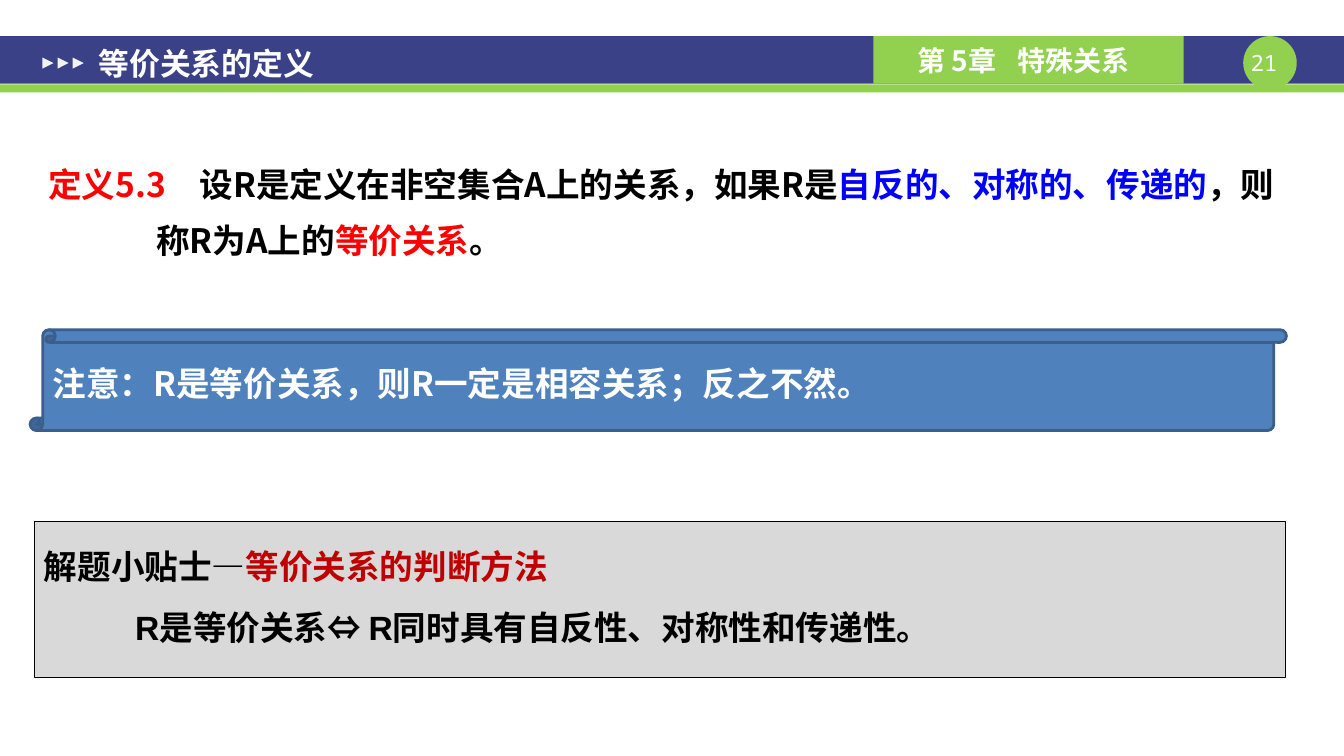
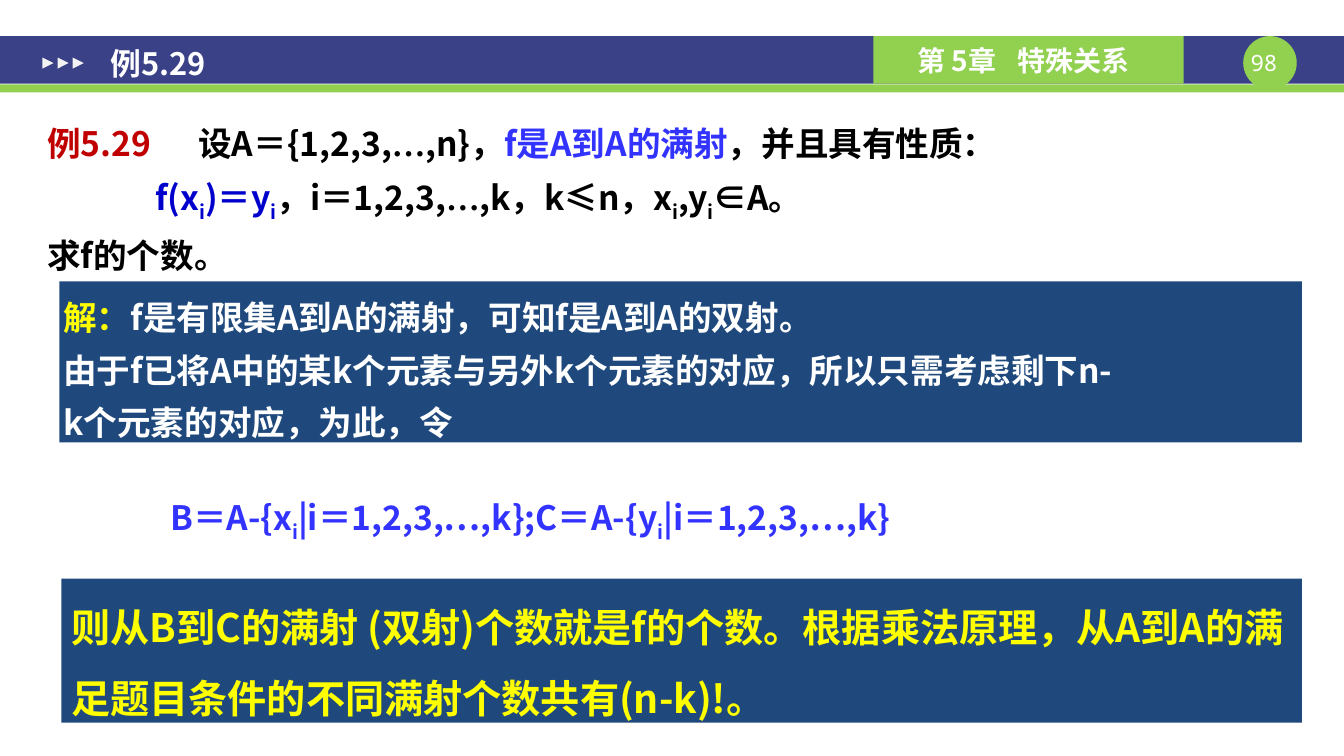
from collections import namedtuple

from lxml import etree
from pptx import Presentation
from pptx.dml.color import RGBColor
from pptx.enum import shapes, text
from pptx.oxml.ns import qn
from pptx.util import Cm, Pt

INDIGO = RGBColor(0x3A, 0x41, 0x87)
GREEN = RGBColor(0x92, 0xD0, 0x50)
PALE = RGBColor(0xF2, 0xF2, 0xF2)
WHITE = RGBColor(0xFF, 0xFF, 0xFF)
BLACK = RGBColor(0, 0, 0)
RED = RGBColor(0xFF, 0, 0)
DARK_RED = RGBColor(0xC0, 0, 0)
BLUE = RGBColor(0, 0, 0xFF)
DEEP_BLUE = RGBColor(0, 0, 0xCC)
VIOLET = RGBColor(0x33, 0x33, 0xFF)
YELLOW = RGBColor(0xFF, 0xFF, 0)
STEEL = RGBColor(0x4F, 0x81, 0xBD)
STEEL_EDGE = RGBColor(0x3A, 0x5F, 0x8C)
NAVY = RGBColor(0x1F, 0x49, 0x7D)
GREY = RGBColor(0xD9, 0xD9, 0xD9)

FONT = "Noto Sans CJK SC"
NUMBER_FONT = "Noto Sans Mono"
FORMULA_INDENT = 2.72
WIDTH, HEIGHT = 33.88, 19.05
BAND_TOP, BAND_HEIGHT = 0.91, 1.2
WIDE_INSETS = (0.33, 0.18, 0.33, 0.18)
NORMAL_INSETS = (0.25, 0.13, 0.25, 0.13)

Span = namedtuple("Span", "text color font", defaults=(BLACK, FONT))
Line = namedtuple("Line", "spans spacing margin hanging tab", defaults=(1, 0, 0, None))
DOTS = Span("…", font="Times New Roman")


class Deck:
    def __init__(self):
        self.presentation = Presentation()
        self.presentation.slide_width = Cm(WIDTH)
        self.presentation.slide_height = Cm(HEIGHT)
        self.layout = self.presentation.slide_layouts[1]
        self.page = None

    def start(self, title, left, number):
        first = self.page is None
        self.page = self.presentation.slides.add_slide(self.layout)
        if first:
            self.banner()
        box = self.page.shapes.title
        self.place(box, (left, 0.99, 14.8, BAND_HEIGHT))
        self.set_text(box, [Line([Span(title, WHITE)])], 22, WIDE_INSETS, middle=True)
        badge = self.shape("OVAL", (31.34, BAND_TOP, 1.35, 1.35), GREEN)
        self.set_text(badge, [Line([Span(number, WHITE, NUMBER_FONT)])], 16,
                      (0, 0, 0.3, 0), middle=True, bold=False, wrap=False)
        badge.text_frame.paragraphs[0].alignment = text.PP_ALIGN.CENTER

    def banner(self):
        chapter = self.shape("RECTANGLE", (22.02, BAND_TOP, 7.82, BAND_HEIGHT), GREEN)
        self.set_text(chapter, [Line([Span("第 5章\t特殊关系", WHITE)], tab=2.83)], 20,
                      (1.1, 0.13, 0, 0.13), middle=True)
        parts = [
            self.shape("RECTANGLE", (0, BAND_TOP, WIDTH, BAND_HEIGHT), INDIGO),
            self.shape("RECTANGLE", (0, 2.13, WIDTH, 0.2), GREEN),
            chapter,
        ]
        for index in range(3):
            arrow = self.shape("ISOSCELES_TRIANGLE", (1.07 + 0.38 * index, 1.45, 0.28, 0.28), PALE)
            arrow.rotation = 90
            parts.append(arrow)
        for index, part in enumerate(parts):
            part.element.nvSpPr.cNvPr.set("id", str(20 + index))
            self.layout.shapes.element.append(part.element)

    def place(self, box, bounds):
        box.left, box.top, box.width, box.height = map(Cm, bounds)

    def shape(self, kind, bounds, fill, edge=None, weight=0.75):
        box = self.page.shapes.add_shape(getattr(shapes.MSO_SHAPE, kind), *map(Cm, bounds))
        box.shadow.inherit = False
        box.fill.solid()
        box.fill.fore_color.rgb = fill
        if edge is None:
            box.line.fill.background()
        else:
            box.line.color.rgb = edge
            box.line.width = Pt(weight)
        return box

    def body(self, bounds, lines):
        box = self.page.placeholders[1]
        self.place(box, bounds)
        self.set_text(box, lines, 24, WIDE_INSETS)

    def textbox(self, bounds, lines):
        self.set_text(self.page.shapes.add_textbox(*map(Cm, bounds)), lines)

    def panel(self, kind, bounds, fill, lines, edge=None, weight=0.75, **style):
        self.set_text(self.shape(kind, bounds, fill, edge, weight), lines, **style)

    def set_text(self, box, lines, size=24, insets=NORMAL_INSETS, middle=False, bold=True, wrap=True):
        frame = box.text_frame
        frame.auto_size = text.MSO_AUTO_SIZE.NONE
        frame.word_wrap = wrap
        frame.vertical_anchor = text.MSO_ANCHOR.MIDDLE if middle else text.MSO_ANCHOR.TOP
        (frame.margin_left, frame.margin_top,
         frame.margin_right, frame.margin_bottom) = map(Cm, insets)
        for index, line in enumerate(lines):
            para = frame.add_paragraph() if index else frame.paragraphs[0]
            self.layout_line(para, line)
            for span in line.spans:
                for order, piece in enumerate(span.text.split("~")):
                    if piece:
                        self.add_run(para, piece, span, size, bold, order % 2)

    def layout_line(self, para, line):
        properties = para._p.get_or_add_pPr()
        properties.set("marL", str(Cm(line.margin)))
        properties.set("indent", str(-Cm(line.hanging)))
        etree.SubElement(properties, qn("a:buNone"))
        if line.tab:
            tabs = etree.SubElement(properties, qn("a:tabLst"))
            etree.SubElement(tabs, qn("a:tab"), pos=str(Cm(line.tab)), algn="l")
        para.alignment = text.PP_ALIGN.LEFT
        para.line_spacing = line.spacing
        para.space_before = Pt(0)

    def add_run(self, para, words, span, size, bold, subscript):
        run = para.add_run()
        run.text = words
        run.font.size = Pt(size)
        run.font.bold = bold
        run.font.color.rgb = span.color
        run.font.name = span.font
        properties = run._r.get_or_add_rPr()
        east_asian = FONT if span.font == "Arial" else span.font
        etree.SubElement(properties, qn("a:ea"), typeface=east_asian)
        if subscript:
            properties.set("baseline", "-25000")


def definition(deck):
    deck.start("等价关系的定义", 2.16, "21")
    deck.body((0.89, 3.84, 31.75, 2.74), [
        Line([Span("定义5.3\t", RED), Span("设R是定义在非空集合A上的关系，如果R是"),
              Span("自反的、对称的、传递的", BLUE), Span("，则")], 1.1, tab=3.78),
        Line([Span("称R为A上的"), Span("等价关系", RED), Span("。")], 1.4, FORMULA_INDENT),
    ])
    deck.panel("VERTICAL_SCROLL", (0.76, 8.31, 31.67, 2.54), STEEL, [
        Line([Span("注意：R是等价关系，则R一定是相容关系；反之不然。", WHITE)]),
    ], STEEL_EDGE, 2, middle=True)
    deck.panel("RECTANGLE", (0.86, 13.13, 31.55, 3.94), GREY, [
        Line([Span("解题小贴士—"), Span("等价关系的判断方法", DARK_RED)], 1.5),
        Line([Span("R是等价关系", font="Arial"), Span("⇔ "),
              Span("R同时具有自反性、对称性和传递性。", font="Arial")], 1.5, 2.3),
    ], BLACK)


def example(deck):
    deck.start("例5.29", 2.46, "98")
    deck.body((0.86, 2.62, 31.95, 4.88), [
        Line([Span("例5.29\t", DARK_RED), Span("设A＝{1,2,3,"), DOTS, Span(",n}，"),
              Span("f是A到A的满射", VIOLET), Span("，并且具有性质：")], 1.3, tab=3.4),
        Line([Span("f(x~i~)＝y~i~", DEEP_BLUE), Span("，i＝1,2,3,"), DOTS,
              Span(",k，k≤n，x~i~,y~i~∈A。")], 1.3, FORMULA_INDENT),
        Line([Span("求f的个数。")], 1.3),
    ])
    solution = [
        [Span("解：", YELLOW), Span("f是有限集A到A的满射，可知f是A到A的双射。", WHITE)],
        [Span("由于f已将A中的某k个元素与另外k个元素的对应，所以只需考虑剩下n-", WHITE)],
        [Span("k个元素的对应，为此，令", WHITE)],
    ]
    deck.panel("RECTANGLE", (1.5, 7.09, 31.32, 4.06), NAVY,
               [Line(spans, 1.3, 0.97, 0.97) for spans in solution], insets=(0.1,) * 4)
    deck.textbox((4.04, 12.4, 23.24, 1.27), [
        Line([Span("B＝A-{x~i~|i＝1,2,3,…,k};C＝A-{y~i~|i＝1,2,3,…,k}", VIOLET)]),
    ])
    deck.panel("RECTANGLE", (1.55, 14.58, 31.27, 3.63), NAVY, [
        Line([Span("则从B到C的满射 (双射)个数就是f的个数。根据乘法原理，"
                   "从A到A的满足题目条件的不同满射个数共有(n-k)!。", YELLOW)], 1.5),
    ], size=28, middle=True)


def main():
    deck = Deck()
    definition(deck)
    example(deck)
    deck.presentation.save("out.pptx")


if __name__ == "__main__":
    main()
